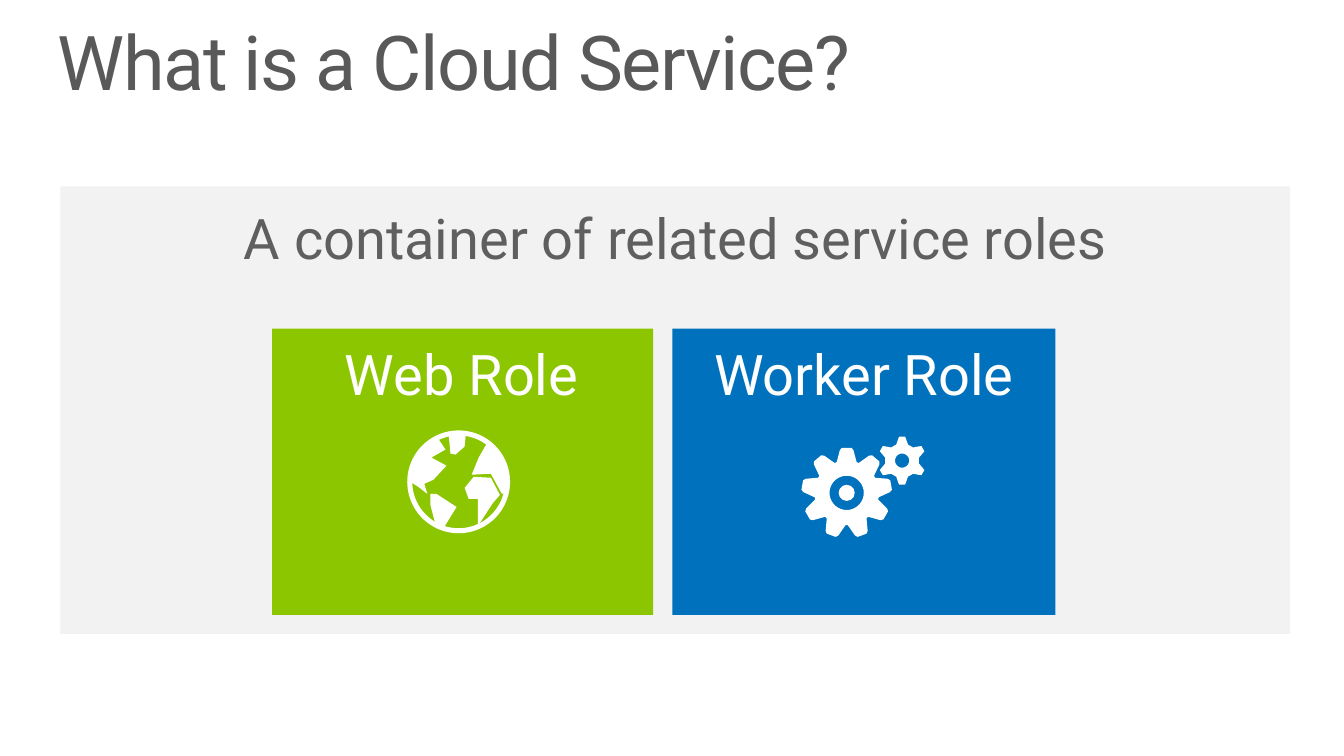
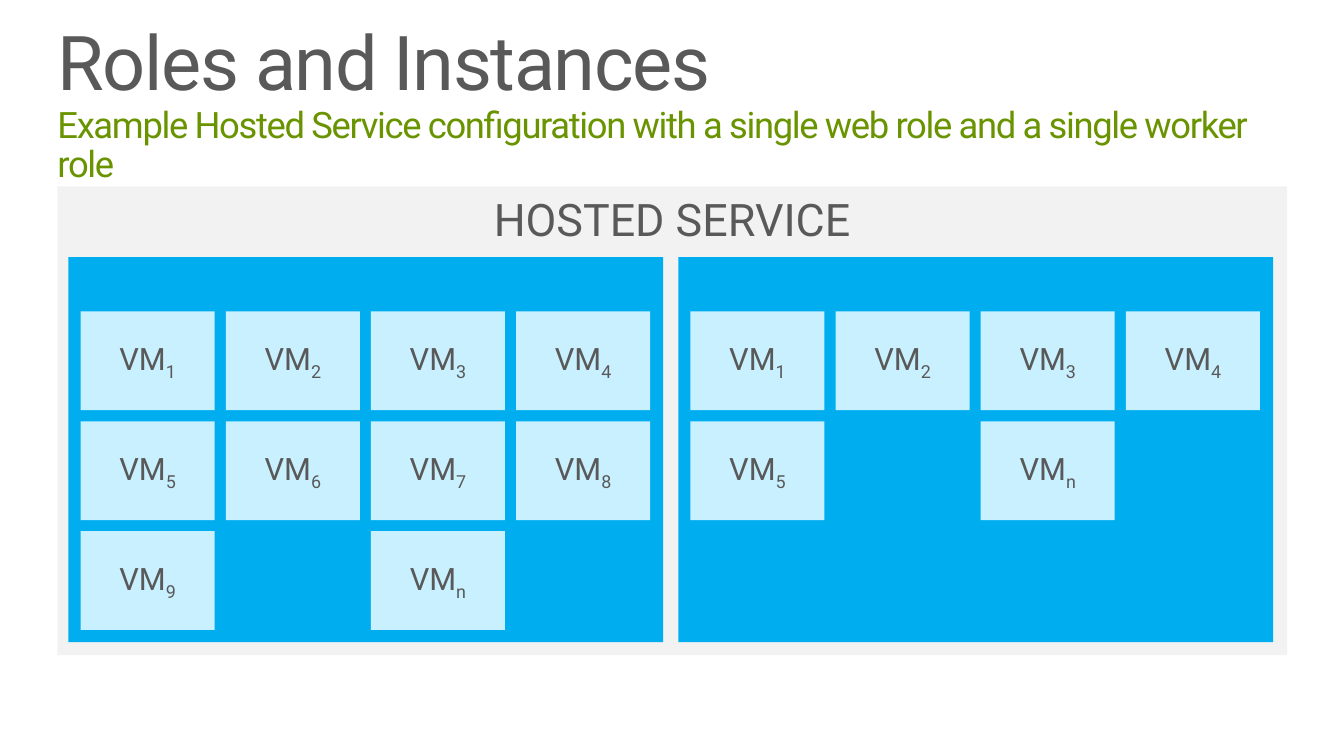
"""Build two slides on cloud service roles and their instances."""
from math import cos, radians, sin

from pptx import Presentation
from pptx.dml.color import RGBColor
from pptx.enum.shapes import MSO_SHAPE
from pptx.enum.text import MSO_ANCHOR, PP_ALIGN
from pptx.util import Pt

PX = 9144
RECT, OVAL, DONUT = MSO_SHAPE.RECTANGLE, MSO_SHAPE.OVAL, MSO_SHAPE.DONUT
LEFT, CENTER = PP_ALIGN.LEFT, PP_ALIGN.CENTER
TOP, MIDDLE = MSO_ANCHOR.TOP, MSO_ANCHOR.MIDDLE
FONT = "Roboto"
COLORS = {
    "title": "595959", "subtitle": "699400", "caption": "5F5F5F",
    "panel": "F2F2F2", "web": "8CC600", "worker": "0071BC",
    "role": "00AEEF", "vm": "C9F0FF", "white": "FFFFFF",
}
TITLE = dict(size=54, color="title", spacing=0.9, track=-100)
TITLE_LEFT, TITLE_TOP, TITLE_W = 57, 25, 1219
PANEL_TOP, PANEL_W = 185, 1220


def paint(sp, fill):
    """Give a shape a plain fill without line or shadow."""
    sp.shadow.inherit = False
    sp.fill.solid()
    sp.fill.fore_color.rgb = RGBColor.from_string(COLORS[fill])
    sp.line.fill.background()


def box(s, at, text="", fill=None, kind=RECT, size=18, color="title", align=LEFT,
        anchor=TOP, spacing=None, track=None):
    """Add a filled shape or a text box; text is a string or (text, format) runs."""
    at = [v * PX for v in at]
    if fill:
        sp = s.shapes.add_shape(kind, *at)
        paint(sp, fill)
    else:
        sp = s.shapes.add_textbox(*at)
    if not text:
        return sp
    tf = sp.text_frame
    tf.word_wrap = True
    tf.vertical_anchor = anchor
    if not fill:
        tf.margin_left = tf.margin_right = tf.margin_top = tf.margin_bottom = 0
    p = tf.paragraphs[0]
    p.alignment = align
    if spacing:
        p.line_spacing = spacing
    for words, fmt in [(text, {})] if isinstance(text, str) else text:
        if words == "\n":
            p.add_line_break()
            continue
        r = p.add_run()
        r.text = words
        r.font.name = FONT
        r.font.size = Pt(fmt.get("size", size))
        r.font.color.rgb = RGBColor.from_string(COLORS[fmt.get("color", color)])
        rPr = r._r.get_or_add_rPr()
        if track:
            rPr.set("spc", str(track))
        if "baseline" in fmt:
            rPr.set("baseline", str(fmt["baseline"]))
    return sp


prs = Presentation()
prs.slide_width, prs.slide_height = 12192000, 750 * PX
blank = prs.slide_layouts[6]

s = prs.slides.add_slide(blank)
box(s, (60, PANEL_TOP, PANEL_W, 444), fill="panel")
box(s, (TITLE_LEFT, TITLE_TOP, TITLE_W, 82), "What is a Cloud Service?", **TITLE)
box(s, (60, 202, PANEL_W, 67), "A container of related service roles",
    size=40, color="caption", align=CENTER)
for tile_x, tile_w, name_x, name, fill in (
    (270, 378, 268, "Web Role", "web"),
    (667, 380, 667, "Worker Role", "worker"),
):
    box(s, (tile_x, 326, tile_w, 284), fill=fill)
    box(s, (name_x, 344, 380, 61), name, size=40, color="white", align=CENTER, spacing=0.9)

globe_x, globe_y, globe_r, rim_w = 455, 478, 51, 5
globe_d = 2 * globe_r
rim = box(s, (globe_x - globe_r, globe_y - globe_r, globe_d, globe_d), fill="white", kind=DONUT)
rim.adjustments[0] = rim_w / globe_d

continents = {
    "north america": [(-48, 0), (-40, -28), (-21, -44), (-13, -32), (-27, -24),
                      (-12, -16), (-25, -2), (-34, 2), (-31, 12), (-40, 5)],
    "greenland": [(-10, -48), (7, -46), (6, -35), (-3, -27), (-8, -28)],
    "south america": [(-28, 12), (-22, 12), (-2, 25), (-15, 46), (-23, 42), (-28, 23)],
    "africa": [(10, 17), (6, 6), (15, -5), (32, -4), (41, 13), (34, 21), (19, 44), (19, 17)],
    "eurasia": [(13, -7), (20, -24), (28, -38), (44, -22), (49, 10), (43, 12), (32, -8)],
}
outlines = [
    [[(globe_x + dx, globe_y + dy) for dx, dy in coast]] for coast in continents.values()
]

gears = (
    dict(cx=840, cy=489, teeth=9, root=32, shoulder=43, tip=45, bore=17, half_angles=(18, 9, 6)),
    dict(cx=895, cy=457, teeth=6, root=17, shoulder=22, tip=24, bore=7, half_angles=(20, 10, 7)),
)
for gear in gears:
    radii = gear["root"], gear["shoulder"], gear["tip"]
    falling = list(zip(gear["half_angles"], radii))[::-1]
    rising = [(-angle, radius) for angle, radius in falling[::-1]]
    pitch = 360 / gear["teeth"]
    edge = [(i * pitch + a, radius) for i in range(gear["teeth"]) for a, radius in rising + falling]
    bore = [(a, gear["bore"]) for a in range(360, 0, -10)]
    outlines.append([
        [(gear["cx"] + radius * sin(radians(a)), gear["cy"] - radius * cos(radians(a)))
         for a, radius in ring]
        for ring in (edge, bore)
    ])

for rings in outlines:
    builder = None
    for ring in rings:
        start, *rest = [(x * PX, y * PX) for x, y in ring]
        if builder:
            builder.move_to(*start)
        else:
            builder = s.shapes.build_freeform(*start)
        builder.add_line_segments(rest, close=True)
    paint(builder.convert_to_shape(), "white")

hub_r = 8
hub_x, hub_y = gears[0]["cx"], gears[0]["cy"]
box(s, (hub_x - hub_r, hub_y - hub_r, 2 * hub_r, 2 * hub_r), fill="white", kind=OVAL)

s = prs.slides.add_slide(blank)
subtitle = "Example Hosted Service configuration with a single web role and a single worker role"
box(s, (TITLE_LEFT, TITLE_TOP, TITLE_W, 121), [
    ("Roles and Instances", {}),
    ("\n", {}),
    (subtitle, dict(size=26, color="subtitle")),
], **TITLE)
box(s, (57, PANEL_TOP, PANEL_W, 465), "HOSTED SERVICE", fill="panel", size=32, align=CENTER)

role_y, role_w, role_h = 255, 590, 382
vm_w, vm_h, vm_gap = 133, 98, 11
pad_x, pad_y = 12, 54
for role_x, vm_rows in ((68, ("1234", "5678", "9 n ")), (673, ("1234", "5 n "))):
    box(s, (role_x, role_y, role_w, role_h), fill="role")
    for row, labels in enumerate(vm_rows):
        for col, label in enumerate(labels):
            if label == " ":
                continue
            vm_x = role_x + pad_x + col * (vm_w + vm_gap)
            vm_y = role_y + pad_y + row * (vm_h + vm_gap)
            box(s, (vm_x, vm_y, vm_w, vm_h), [("VM", {}), (label, dict(baseline=-25000))],
                fill="vm", size=22, align=CENTER, anchor=MIDDLE)

prs.save("out.pptx")
